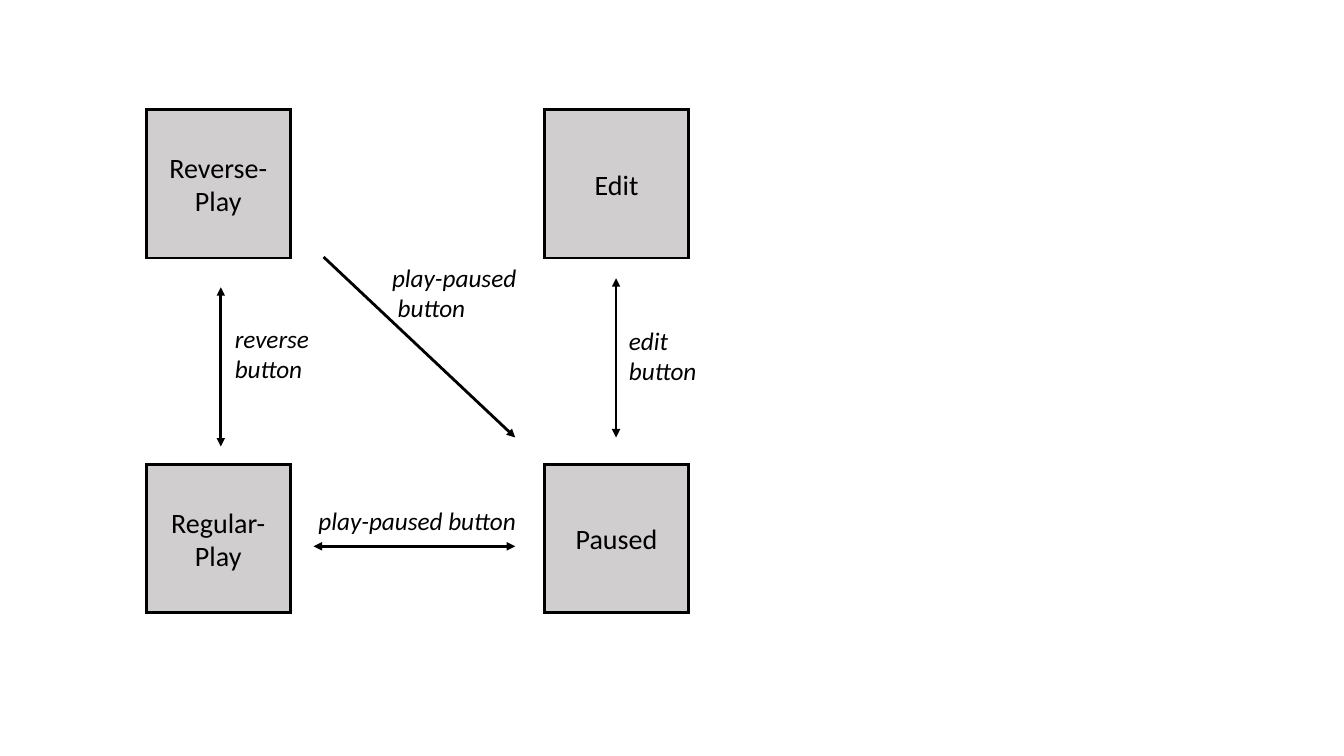
"""Build a slide with the state diagram of a media player."""
from dataclasses import dataclass

from lxml import etree
from pptx import Presentation
from pptx.dml.color import RGBColor
from pptx.enum.shapes import MSO_CONNECTOR, MSO_SHAPE
from pptx.enum.text import MSO_ANCHOR, MSO_AUTO_SIZE, PP_ALIGN
from pptx.oxml.ns import qn
from pptx.slide import Slide
from pptx.text.text import TextFrame
from pptx.util import Inches, Pt

RECTANGLE = MSO_SHAPE.RECTANGLE
STRAIGHT = MSO_CONNECTOR.STRAIGHT
MIDDLE = MSO_ANCHOR.MIDDLE
FIT_SHAPE = MSO_AUTO_SIZE.SHAPE_TO_FIT_TEXT
LEFT, CENTER = PP_ALIGN.LEFT, PP_ALIGN.CENTER
BLANK_LAYOUT = 6


@dataclass(frozen=True)
class Theme:
    font: str = "Calibri"
    ink: RGBColor = RGBColor(0x00, 0x00, 0x00)
    state_fill: RGBColor = RGBColor(0xD0, 0xCE, 0xCE)
    state_size: Pt = Pt(20)
    label_size: Pt = Pt(18)
    line_width: Pt = Pt(2)


@dataclass(frozen=True)
class State:
    name: str
    column: int
    row: int


@dataclass(frozen=True)
class Transition:
    start: tuple[float, float]
    end: tuple[float, float]
    label: str
    label_box: tuple[float, float, float, float]
    two_way: bool = True


THEME = Theme()
COLUMN_LEFTS = (1.45, 5.4)
ROW_TOPS = (1.09, 4.61)
STATE_WIDTH, STATE_HEIGHT = 1.43, 1.47

STATES = (
    State("Reverse- Play", 0, 0),
    State("Edit", 1, 0),
    State("Regular-Play", 0, 1),
    State("Paused", 1, 1),
)
TRANSITIONS = (
    Transition((3.21, 2.55), (5.11, 4.34), "play-paused\n button", (3.79, 2.55, 1.47, 0.71), False),
    Transition((3.11, 5.42), (5.11, 5.42), "play-paused button", (3.06, 4.96, 2.16, 0.4)),
    Transition((2.19, 2.85), (2.19, 4.43), "reverse \nbutton", (2.23, 3.16, 0.99, 0.71)),
    Transition((6.11, 2.76), (6.11, 4.34), "edit \nbutton", (6.14, 3.18, 0.87, 0.71)),
)


def write_text(text_frame: TextFrame, text: str, size: Pt, alignment: PP_ALIGN, italic: bool) -> None:
    """Fill a text frame and format its runs."""
    text_frame.text = text
    for paragraph in text_frame.paragraphs:
        paragraph.alignment = alignment
        for run in paragraph.runs:
            run.font.name = THEME.font
            run.font.size = size
            run.font.italic = italic
            run.font.color.rgb = THEME.ink


def draw_state(slide: Slide, state: State) -> None:
    """Draw one state as a sharp-cornered box on the grid."""
    shape = slide.shapes.add_shape(
        RECTANGLE,
        Inches(COLUMN_LEFTS[state.column]),
        Inches(ROW_TOPS[state.row]),
        Inches(STATE_WIDTH),
        Inches(STATE_HEIGHT),
    )
    shape.shadow.inherit = False
    shape.fill.solid()
    shape.fill.fore_color.rgb = THEME.state_fill
    shape.line.color.rgb = THEME.ink
    shape.line.width = THEME.line_width
    etree.SubElement(shape.line._get_or_add_ln(), qn("a:miter"), lim="800000")
    shape.text_frame.vertical_anchor = MIDDLE
    write_text(shape.text_frame, state.name, THEME.state_size, CENTER, False)


def draw_arrow(slide: Slide, transition: Transition) -> None:
    """Draw the arrow of a transition."""
    points = (*transition.start, *transition.end)
    connector = slide.shapes.add_connector(STRAIGHT, *map(Inches, points))
    connector.line.color.rgb = THEME.ink
    connector.line.width = THEME.line_width
    ends = ("a:headEnd", "a:tailEnd") if transition.two_way else ("a:tailEnd",)
    for end in ends:
        etree.SubElement(connector.line._get_or_add_ln(), qn(end), type="triangle")
    etree.SubElement(connector._element.spPr, qn("a:effectLst"))


def draw_label(slide: Slide, transition: Transition) -> None:
    """Draw the name of the button that triggers a transition."""
    text_box = slide.shapes.add_textbox(*map(Inches, transition.label_box))
    text_box.text_frame.word_wrap = False
    text_box.text_frame.auto_size = FIT_SHAPE
    write_text(text_box.text_frame, transition.label, THEME.label_size, LEFT, True)


def main() -> None:
    """Build and save the presentation."""
    presentation = Presentation()
    presentation.slide_width = Inches(13.33)
    presentation.slide_height = Inches(7.5)
    slide = presentation.slides.add_slide(presentation.slide_layouts[BLANK_LAYOUT])
    for state in STATES:
        draw_state(slide, state)
    for transition in TRANSITIONS:
        draw_arrow(slide, transition)
        draw_label(slide, transition)
    presentation.save("out.pptx")


main()
